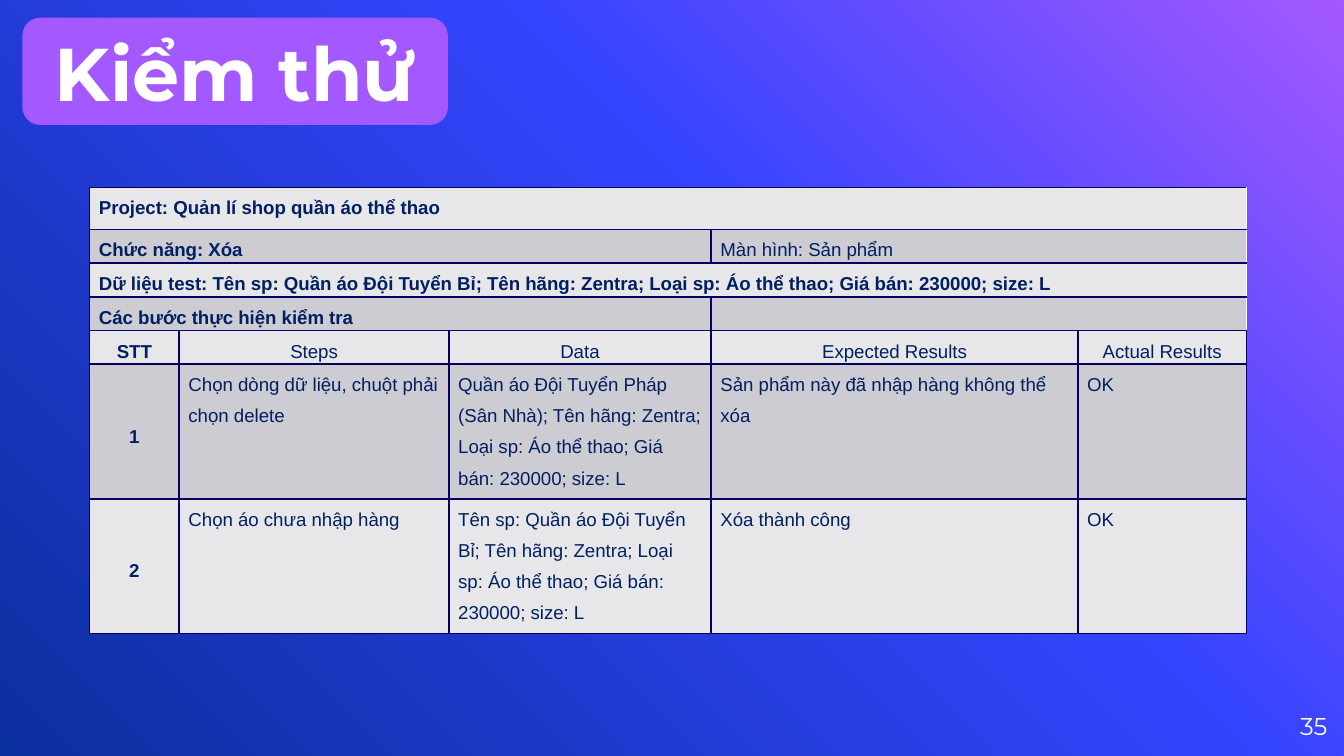
from copy import deepcopy

from lxml import etree
from pptx import Presentation
from pptx.dml.color import RGBColor
from pptx.enum.shapes import MSO_SHAPE
from pptx.enum.text import MSO_ANCHOR, PP_ALIGN
from pptx.oxml.ns import qn
from pptx.util import Pt

LEFT, CENTER, RIGHT = PP_ALIGN.LEFT, PP_ALIGN.CENTER, PP_ALIGN.RIGHT
TOP, MIDDLE = MSO_ANCHOR.TOP, MSO_ANCHOR.MIDDLE

COLORS = {
    "purple": "A458FF",
    "blue": "3544FF",
    "navy": "0A2F9E",
    "white": "FFFFFF",
    "cell text": "002060",
    "border": "050060",
    "light row": "E7E7EA",
    "dark row": "CCCCD2",
}
BACKGROUND_STOPS = [(0, "purple"), (0.39, "blue"), (1, "navy")]

COLUMN_WIDTHS = [48, 144.5, 140.5, 196.5, 90.25]
LINE_HEIGHT = 16.75
ROW_HEIGHTS = [22.4] + [LINE_HEIGHT] * 4 + [4 * LINE_HEIGHT] * 2
TEST_DATA = (
    "Tên sp: Quần áo Đội Tuyển Bỉ; Tên hãng: Zentra; "
    "Loại sp: Áo thể thao; Giá bán: 230000; size: L"
)
# Each entry: text, number of columns spanned
SUMMARY_ROWS = [
    [("Project: Quản lí shop quần áo thể thao", 5)],
    [("Chức năng: Xóa", 3), ("Màn hình: Sản phẩm", 2)],
    [("Dữ liệu test: " + TEST_DATA, 5)],
    [("Các bước thực hiện kiểm tra", 3), ("", 2)],
]
STEP_ROWS = [
    ["STT", "Steps", "Data", "Expected Results", "Actual Results"],
    [
        "1",
        "Chọn dòng dữ liệu, chuột phải chọn delete",
        "Quần áo Đội Tuyển Pháp (Sân Nhà); Tên hãng: Zentra; "
        "Loại sp: Áo thể thao; Giá bán: 230000; size: L",
        "Sản phẩm này đã nhập hàng không thể xóa",
        "OK",
    ],
    ["2", "Chọn áo chưa nhập hàng", TEST_DATA, "Xóa thành công", "OK"],
]


def color(name):
    return RGBColor.from_string(COLORS[name])


def paint_background(slide):
    fill = slide.background.fill
    fill.gradient()
    fill.gradient_angle = 225
    stop_list = next(slide.element.iter(qn("a:gsLst")))
    stop_list.append(deepcopy(stop_list[0]))
    for stop, (position, name) in zip(fill.gradient_stops, BACKGROUND_STOPS):
        stop.position = position
        stop.color.rgb = color(name)


def set_text(text_frame, text, font_name, size, text_color, bold=False, align=LEFT):
    text_frame.text = text
    text_frame.word_wrap = True
    paragraph = text_frame.paragraphs[0]
    paragraph.alignment = align
    for run in paragraph.runs:
        run.font.name = font_name
        run.font.size = Pt(size)
        run.font.bold = bold
        run.font.color.rgb = color(text_color)
    return paragraph


def clear_margins(text_frame):
    text_frame.margin_left = text_frame.margin_right = 0
    text_frame.margin_top = text_frame.margin_bottom = 0
    text_frame.vertical_anchor = MIDDLE


def add_title(slide, left, top, width, height):
    shape = slide.shapes.add_shape(
        MSO_SHAPE.ROUNDED_RECTANGLE, Pt(left), Pt(top), Pt(width), Pt(height)
    )
    shape.shadow.inherit = False
    shape.fill.solid()
    shape.fill.fore_color.rgb = color("purple")
    shape.line.fill.background()
    clear_margins(shape.text_frame)
    set_text(shape.text_frame, "Kiểm thử", "Montserrat", 40, "white", True, CENTER)


def add_page_number(slide, left, top, width, height):
    box = slide.shapes.add_textbox(Pt(left), Pt(top), Pt(width), Pt(height))
    clear_margins(box.text_frame)
    set_text(box.text_frame, "35", "Montserrat", 13, "white", align=RIGHT)


def add_borders(cell, sides):
    properties = cell._tc.get_or_add_tcPr()
    for side in sides:
        line = etree.SubElement(properties, qn("a:ln" + side), w=str(Pt(1)))
        fill = etree.SubElement(line, qn("a:solidFill"))
        etree.SubElement(fill, qn("a:srgbClr"), val=COLORS["border"])


def style_cell(cell, fill_name, is_last_column):
    """Draw borders around the cell, but none inside a merged range."""
    sides = ["T", "B"]
    if is_last_column:
        sides.insert(0, "R")
    if not cell.is_spanned:
        sides.insert(0, "L")
    add_borders(cell, sides)
    cell.fill.solid()
    cell.fill.fore_color.rgb = color(fill_name)
    cell.margin_left = cell.margin_right = Pt(5)
    cell.margin_top = cell.margin_bottom = 0


def fill_cell(cell, text, bold, align=LEFT, anchor=TOP):
    paragraph = set_text(cell.text_frame, text, "Arial", 10, "cell text", bold, align)
    paragraph.line_spacing = 1.5
    cell.vertical_anchor = anchor


def add_test_table(slide, left, top):
    table = slide.shapes.add_table(
        len(ROW_HEIGHTS), len(COLUMN_WIDTHS), Pt(left), Pt(top),
        Pt(sum(COLUMN_WIDTHS)), Pt(sum(ROW_HEIGHTS)),
    ).table
    table.first_row = table.horz_banding = False
    for column, width in zip(table.columns, COLUMN_WIDTHS):
        column.width = Pt(width)
    for row, height in zip(table.rows, ROW_HEIGHTS):
        row.height = Pt(height)

    for row_index, entries in enumerate(SUMMARY_ROWS):
        start = 0
        for text, span in entries:
            cell = table.cell(row_index, start)
            cell.merge(table.cell(row_index, start + span - 1))
            fill_cell(cell, text, bold=start == 0)
            start += span

    for row_index, texts in enumerate(STEP_ROWS, len(SUMMARY_ROWS)):
        is_heading = row_index == len(SUMMARY_ROWS)
        for column_index, text in enumerate(texts):
            centered = is_heading or column_index == 0
            fill_cell(
                table.cell(row_index, column_index), text, column_index == 0,
                CENTER if centered else LEFT, MIDDLE if centered else TOP,
            )

    for row_index, row in enumerate(table.rows):
        fill_name = "dark row" if row_index % 2 else "light row"
        for column_index, cell in enumerate(row.cells):
            style_cell(cell, fill_name, column_index == len(COLUMN_WIDTHS) - 1)
            if not cell.text_frame.text:
                # Keeps an empty cell from stretching its row
                paragraph = cell.text_frame.paragraphs[0]
                etree.SubElement(paragraph._p, qn("a:endParaRPr"), sz="1000")


def main():
    presentation = Presentation()
    presentation.slide_width = Pt(720)
    presentation.slide_height = Pt(405)
    slide = presentation.slides.add_slide(presentation.slide_layouts[6])
    paint_background(slide)
    add_page_number(slide, 667.5, 373.5, 43.5, 31)
    add_title(slide, 12, 9.5, 228, 57.5)
    add_test_table(slide, 48, 100.5)
    presentation.save("out.pptx")


if __name__ == "__main__":
    main()
